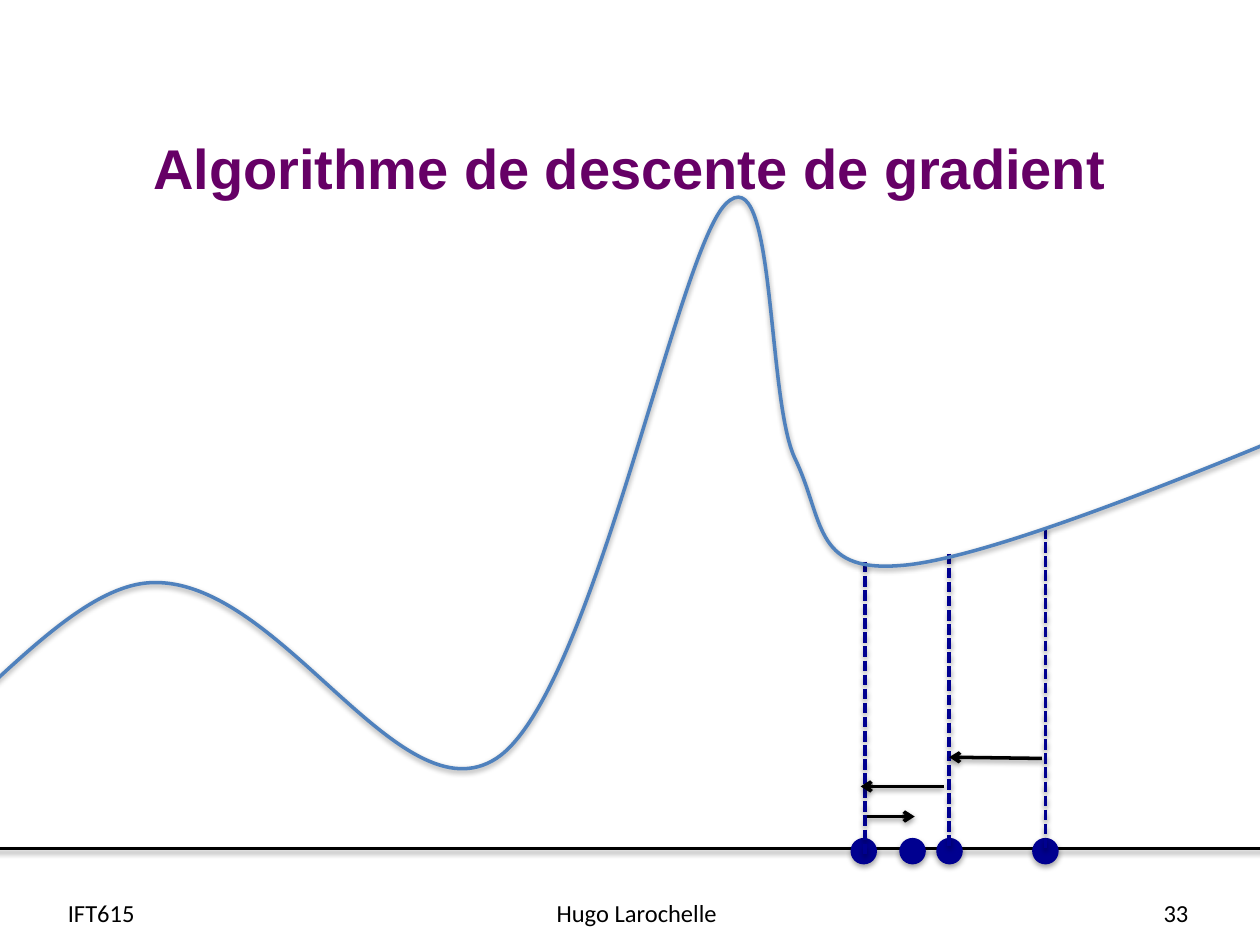
from lxml.etree import SubElement
from pptx import Presentation
from pptx.dml.color import RGBColor
from pptx.enum.dml import MSO_LINE
from pptx.enum.shapes import MSO_CONNECTOR, MSO_SHAPE
from pptx.enum.text import MSO_ANCHOR as Anchor, PP_ALIGN as Align
from pptx.oxml.ns import qn
from pptx.util import Pt

BLACK = RGBColor(0x00, 0x00, 0x00)
NAVY = RGBColor(0x00, 0x00, 0x90)
BLUE = RGBColor(0x4F, 0x81, 0xBD)
PURPLE = RGBColor(0x66, 0x00, 0x66)

# Content, all lengths in points
TITLE = "Algorithme de descente de gradient"
TITLE_BOX = (36, 50.4, 648, 90)
TITLE_FONT = {"name": "Arial", "size": Pt(32), "bold": True}
FOOTER_FONT = {"name": "Calibri", "size": Pt(14), "bold": False}
FOOTERS = [  # text, left, width, alignment
    ("IFT615", 31.7, 139, Align.LEFT),
    ("Hugo Larochelle", 249.8, 228.2, Align.CENTER),
    ("33", 518.4, 167.8, Align.RIGHT),
]
FOOTER_TOP, FOOTER_HEIGHT = 506.9, 28.8
AXIS = (-72.7, 485, 833.8, 485)
DOT_SIZE, DOT_Y = 14.4, 486.4
DOTS = [597.4, 542.6, 493.6, 521.5]
GUIDES = [  # x, top, bottom
    (597.4, 301.7, 486),
    (542.4, 316.4, 483.8),
    (494.2, 321.1, 488.2),
]
STEPS = [  # start and end of each descent step
    (595.4, 433.4, 542.4, 432.7),
    (539.3, 449.4, 491.8, 449.4),
    (495.4, 466.6, 522.7, 466.6),
]
CURVE_START = (-393.8, -54.7)  # also the top left corner of the curve
CURVE_HEIGHT = 521.3
CURVE = [  # two control points and the end of each cubic piece
    ((-316.8, 166.3), (-240.5, 388.1), (-160.6, 452.9)),
    ((-79.9, 517.7), (12.2, 336.2), (86.4, 333)),
    ((159.8, 329.8), (228.2, 469.4), (283.7, 433.4)),
    ((338.4, 397.4), (386.6, 144.7), (414.7, 116.6)),
    ((443.5, 87.8), (437.8, 227.5), (454.3, 262.1)),
    ((470.9, 296.6), (464.4, 326.9), (513.4, 323.3)),
    ((563, 320.4), (689.8, 267.8), (750.2, 242.6)),
    ((810, 217.4), (874.8, 171.4), (874.8, 171.4)),
]


def style_text(frame, text, font, color, align):
    frame.word_wrap = True
    frame.vertical_anchor = Anchor.MIDDLE
    para = frame.paragraphs[0]
    para.alignment = align
    span = para.add_run()
    span.text = text
    for name, value in font.items():
        setattr(span.font, name, value)
    span.font.color.rgb = color


def style_line(item, color, width=2.0, dash=None, arrow=False):
    item.line.color.rgb = color
    item.line.width = Pt(width)
    if dash:
        item.line.dash_style = dash
    if arrow:
        SubElement(item.line._get_or_add_ln(), qn("a:tailEnd"), type="arrow")


def add_shadow(item, distance=1.6, opacity=38):
    effects = SubElement(item._element.spPr, qn("a:effectLst"))
    shadow = SubElement(effects, qn("a:outerShdw"), blurRad=str(Pt(3.1)),
                        dist=str(Pt(distance)), dir="5400000", rotWithShape="0")
    color = SubElement(shadow, qn("a:srgbClr"), val=str(BLACK))
    SubElement(color, qn("a:alpha"), val=str(opacity * 1000))


def add_line(page, ends, color, **style):
    line = page.shapes.add_connector(MSO_CONNECTOR.STRAIGHT, *map(Pt, ends))
    style_line(line, color, **style)
    add_shadow(line)


def add_dot(page, x):
    dot = page.shapes.add_shape(
        MSO_SHAPE.OVAL, Pt(x - DOT_SIZE / 2), Pt(DOT_Y - DOT_SIZE / 2),
        Pt(DOT_SIZE), Pt(DOT_SIZE))
    dot.fill.solid()
    dot.fill.fore_color.rgb = NAVY
    style_line(dot, NAVY, width=0.75)
    add_shadow(dot, distance=1.8, opacity=35)


def add_curve(page):
    builder = page.shapes.build_freeform(*map(Pt, CURVE_START))
    builder.add_line_segments([tuple(map(Pt, piece[-1])) for piece in CURVE],
                              close=False)
    curve = builder.convert_to_shape()

    # Bend each straight segment into a cubic piece
    outline = curve._element.find(".//" + qn("a:path"))
    for segment, piece in zip(outline.findall(qn("a:lnTo")), CURVE):
        outline.remove(segment)
        cubic = SubElement(outline, qn("a:cubicBezTo"))
        for point in piece:
            x, y = (Pt(p - start) for p, start in zip(point, CURVE_START))
            SubElement(cubic, qn("a:pt"), x=str(x), y=str(y))
    curve.height = Pt(CURVE_HEIGHT)
    outline.set("h", str(curve.height))

    curve.fill.background()
    style_line(curve, BLUE)
    add_shadow(curve)


def main():
    deck = Presentation()
    deck.slide_width, deck.slide_height = Pt(720), Pt(540)
    page = deck.slides.add_slide(deck.slide_layouts[5])

    # Title and footer
    title = page.shapes.title
    title.left, title.top, title.width, title.height = map(Pt, TITLE_BOX)
    style_text(title.text_frame, TITLE, TITLE_FONT, PURPLE, Align.CENTER)
    for text, left, width, align in FOOTERS:
        box = page.shapes.add_textbox(Pt(left), Pt(FOOTER_TOP), Pt(width),
                                      Pt(FOOTER_HEIGHT))
        style_text(box.text_frame, text, FOOTER_FONT, BLACK, align)

    # Axis, visited points, guides and steps
    add_line(page, AXIS, BLACK, arrow=True)
    for x in DOTS:
        add_dot(page, x)
    for x, top, bottom in GUIDES:
        add_line(page, (x, top, x, bottom), NAVY, dash=MSO_LINE.SQUARE_DOT)
    for ends in STEPS:
        add_line(page, ends, BLACK, arrow=True)

    # Error curve
    add_curve(page)
    deck.save("out.pptx")


if __name__ == "__main__":
    main()
